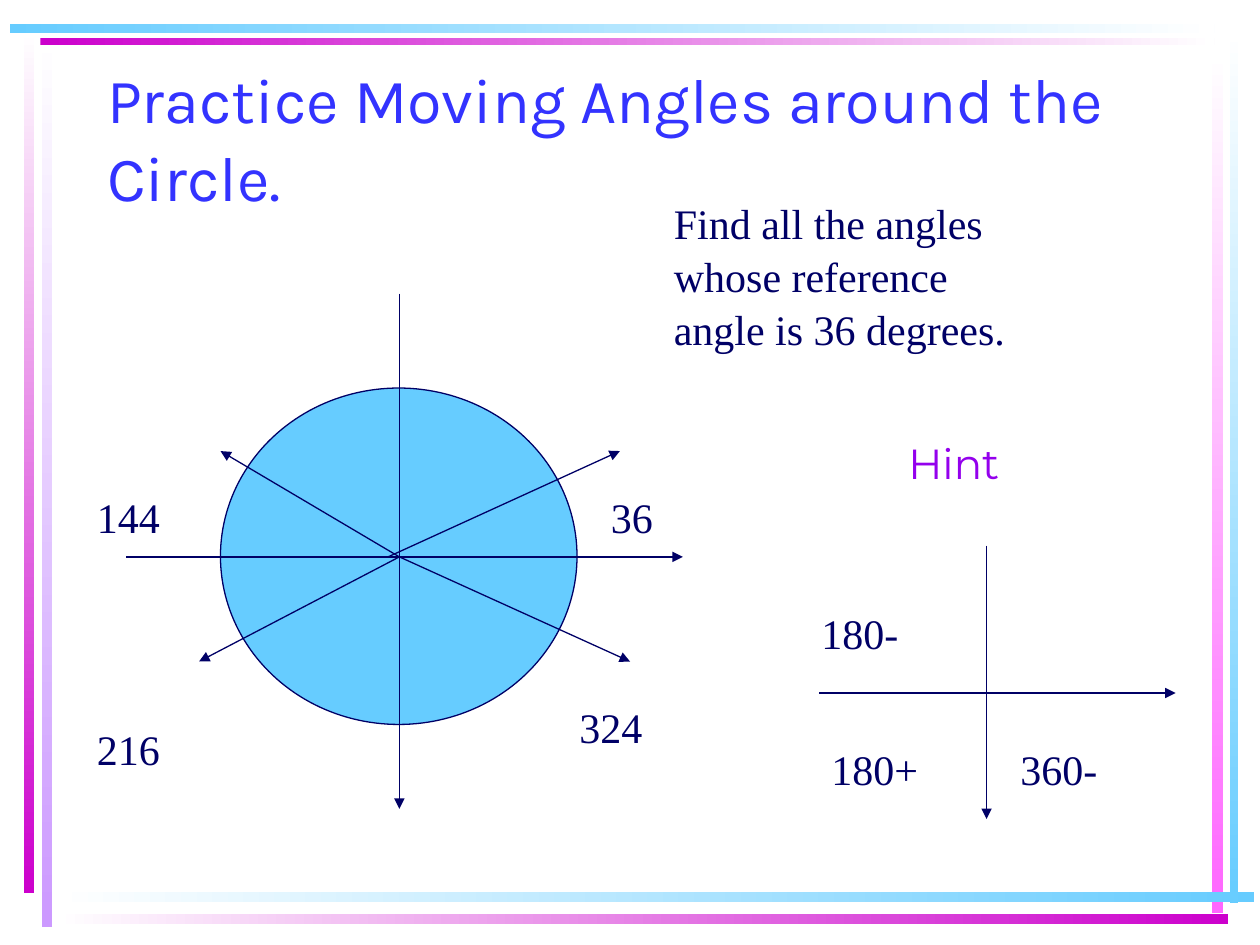
import pptx
import pptx.dml.color
import pptx.enum.shapes
import pptx.enum.text
import pptx.oxml
import pptx.oxml.ns
import pptx.util
from pptx.util import Inches

NAVY, SKY, MAGENTA, WHITE = "000066", "66CCFF", "CC00CC", "FFFFFF"
BODY = {"name": "Times New Roman", "size": pptx.util.Pt(24), "color": NAVY}
TITLE = {"name": "Karla", "size": pptx.util.Pt(36), "color": "3333FF"}
HINT = {"name": "Montserrat", "size": pptx.util.Pt(24), "color": "9400ED"}


def color(hex_string):
    return pptx.dml.color.RGBColor.from_string(hex_string)


class SlideBuilder:
    """Holds the current slide and draws each kind of element in its style."""

    def __init__(self, slide):
        self.slide = slide
        self.line_width = pptx.util.Pt(0.75)

    def format_text(self, shape, text, style, frame_format, paragraph_format):
        frame = shape.text_frame
        frame.text = text
        for name, value in frame_format.items():
            setattr(frame, name, value)
        paragraph = frame.paragraphs[0]
        for name, value in paragraph_format.items():
            setattr(paragraph, name, value)
        for name, value in style.items():
            if name == "color":
                paragraph.font.color.rgb = color(value)
            else:
                setattr(paragraph.font, name, value)

    def title(self, text, left, top, width, height):
        shape = self.slide.shapes.title
        place = {"left": left, "top": top, "width": width, "height": height}
        for name, value in place.items():
            setattr(shape, name, Inches(value))
        self.format_text(
            shape, text, TITLE,
            {"word_wrap": True,
             "auto_size": pptx.enum.text.MSO_AUTO_SIZE.NONE,
             "vertical_anchor": pptx.enum.text.MSO_ANCHOR.BOTTOM},
            {"alignment": pptx.enum.text.PP_ALIGN.LEFT, "line_spacing": 1.03})

    def text(self, text, left, top, width, height=0.5, style=BODY,
             wrap=True, alignment=pptx.enum.text.PP_ALIGN.LEFT, spacing=1.05):
        box = self.slide.shapes.add_textbox(
            Inches(left), Inches(top), Inches(width), Inches(height))
        self.format_text(box, text, style, {"word_wrap": wrap},
                         {"alignment": alignment, "line_spacing": spacing})

    def shape(self, kind, left, top, width, height):
        shape = self.slide.shapes.add_shape(
            kind, Inches(left), Inches(top), Inches(width), Inches(height))
        shape.shadow.inherit = False
        return shape

    def bar(self, left, top, width, height, start, end):
        """A frame bar that fades along its longer side."""
        shape = self.shape(pptx.enum.shapes.MSO_SHAPE.RECTANGLE,
                           left, top, width, height)
        shape.line.fill.background()
        shape.fill.gradient()
        shape.fill.gradient_angle = 0 if width > height else 270
        for stop, value in zip(shape.fill.gradient_stops, (start, end)):
            stop.color.rgb = color(value)

    def ellipse(self, left, top, width, height):
        shape = self.shape(pptx.enum.shapes.MSO_SHAPE.OVAL,
                           left, top, width, height)
        shape.fill.solid()
        shape.fill.fore_color.rgb = color(SKY)
        shape.line.color.rgb = color(NAVY)
        shape.line.width = self.line_width

    def arrow(self, start, end):
        connector = self.slide.shapes.add_connector(
            pptx.enum.shapes.MSO_CONNECTOR.STRAIGHT,
            *(Inches(value) for value in (*start, *end)))
        connector.line.color.rgb = color(NAVY)
        connector.line.width = self.line_width
        namespace = pptx.oxml.ns.nsdecls("a")
        connector.line._get_or_add_ln().append(
            pptx.oxml.parse_xml(f'<a:tailEnd {namespace} type="triangle"/>'))
        connector._element.spPr.append(
            pptx.oxml.parse_xml(f"<a:effectLst {namespace}/>"))


def main():
    presentation = pptx.Presentation()
    presentation.slide_width = Inches(10)
    presentation.slide_height = Inches(7.5)
    builder = SlideBuilder(
        presentation.slides.add_slide(presentation.slide_layouts[5]))

    # Frame: left, right, bottom and top pairs
    for bar in (
        (0.33, 0.28, 0.08, 7.08, WHITE, "CC99FF"),
        (0.19, 0.25, 0.08, 6.84, WHITE, MAGENTA),
        (9.76, 0.24, 0.07, 6.93, WHITE, SKY),
        (9.62, 0.42, 0.09, 6.83, WHITE, "FF66FF"),
        (0.45, 7.08, 9.5, 0.08, WHITE, SKY),
        (0.45, 7.25, 9.3, 0.08, WHITE, MAGENTA),
        (0.32, 0.3, 9.32, 0.06, MAGENTA, WHITE),
        (0.08, 0.19, 9.56, 0.07, SKY, WHITE),
    ):
        builder.bar(*bar)

    # Title and task
    builder.title("Practice Moving Angles around the Circle.",
                  0.75, 0.67, 8.5, 1.08)
    builder.text("Find all the angles whose reference angle is 36 degrees.",
                 5.25, 1.5, 3, 1.3)

    # Circle with its axes and the four angle arms
    center = (3.17, 4.42)
    builder.ellipse(1.75, 3.08, 2.83, 2.67)
    builder.arrow((3.17, 2.33), (3.17, 6.42))
    builder.arrow((1, 4.42), (5.42, 4.42))
    builder.arrow((3.08, 4.42), (4.92, 3.58))
    for tip in ((1.75, 3.58), (1.58, 5.25), (5, 5.25)):
        builder.arrow(center, tip)
    for angle, left, top in (("36", 4.75, 3.83), ("144", 0.67, 3.83),
                             ("216", 0.67, 5.67), ("324", 4.5, 5.5)):
        builder.text(angle, left, top, 0.92)

    # Hint: one rule for each quadrant
    builder.arrow((7.83, 4.33), (7.83, 6.5))
    builder.arrow((6.5, 5.5), (9.33, 5.5))
    for rule, left, top, width in (("180+", 6.5, 5.83, 1),
                                   ("180-", 6.42, 4.75, 1.33),
                                   ("360-", 8, 5.83, 1.33)):
        builder.text(rule, left, top, width)
    builder.text("Hint", 7, 3.42, 1.14, 0.71, HINT, False,
                 pptx.enum.text.PP_ALIGN.CENTER, 1.0)

    presentation.save("out.pptx")


if __name__ == "__main__":
    main()
